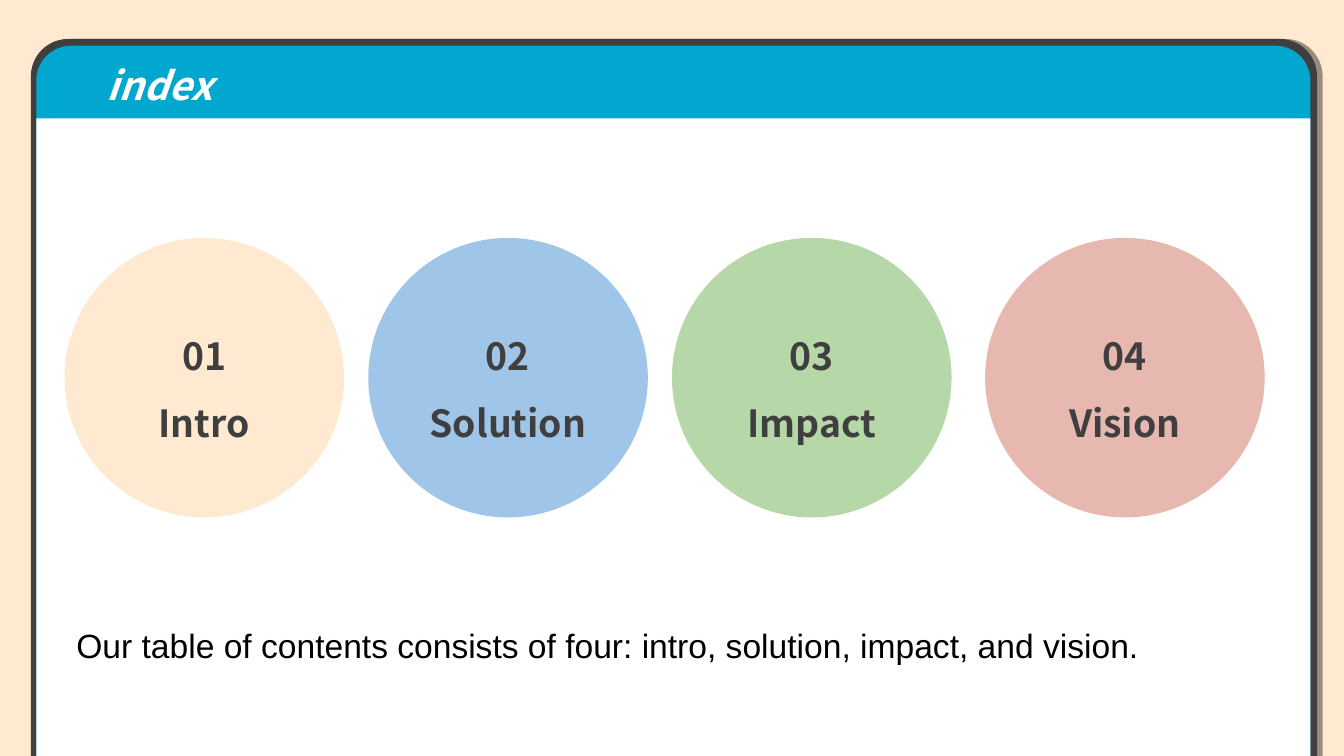
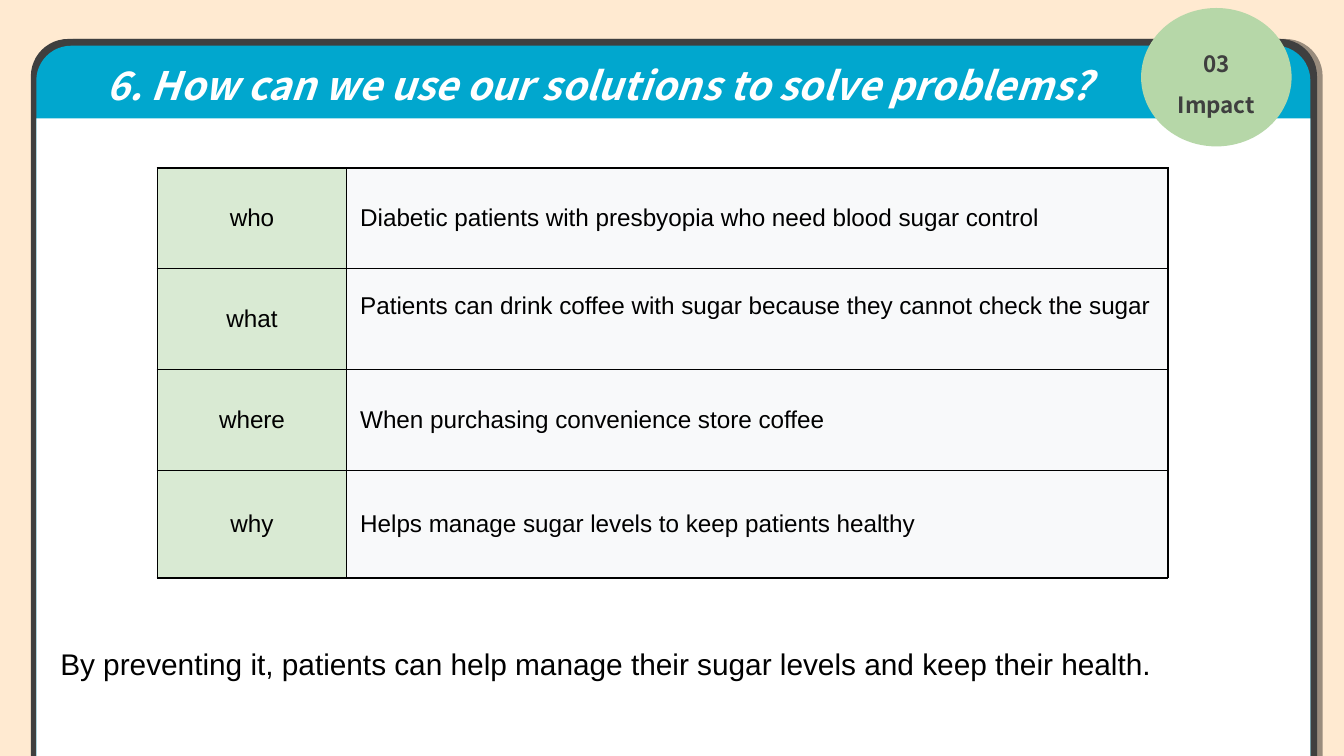
import pptx
import pptx.dml.color
import pptx.enum.shapes
import pptx.enum.text
import pptx.oxml
import pptx.oxml.ns
import pptx.util

RGBColor = pptx.dml.color.RGBColor
Inches = pptx.util.Inches

# Colours and text formats
CREAM = RGBColor(0xFF, 0xEA, 0xD1)
CHARCOAL = RGBColor(0x3F, 0x3F, 0x3F)
CYAN = RGBColor(0x01, 0xA7, 0xCE)
WHITE = RGBColor(0xFF, 0xFF, 0xFF)
BLACK = RGBColor(0, 0, 0)
BLUE = RGBColor(0x9F, 0xC5, 0xE8)
GREEN = RGBColor(0xB6, 0xD7, 0xA8)
PINK = RGBColor(0xE6, 0xB8, 0xAF)
PALE_GREEN = RGBColor(0xD9, 0xEA, 0xD3)
PALE_GREY = RGBColor(0xF8, 0xF9, 0xFA)

DISPLAY = "Noto Sans CJK KR"
TITLE = {"name": DISPLAY, "size": pptx.util.Pt(21), "bold": True, "italic": True}
SECTION = {"name": DISPLAY, "size": pptx.util.Pt(20), "bold": True}
BADGE = {**SECTION, "size": pptx.util.Pt(12)}
INTRO = {"name": "Arial", "size": pptx.util.Pt(18)}
CONCLUSION = {"name": "Arial", "size": pptx.util.Pt(16)}
CELL = {"name": "Arial", "size": pptx.util.Pt(13)}

LEFT = {"alignment": pptx.enum.text.PP_ALIGN.LEFT}
CENTRED = {"alignment": pptx.enum.text.PP_ALIGN.CENTER}
STACKED = {**CENTRED, "line_spacing": 1.5}
SPACED = {**LEFT, "line_spacing": 1.15, "space_after": pptx.util.Pt(12)}

NO_INSETS = (0, 0, 0, 0)
TIGHT = (0.07, 0.04, 0.07, 0.04)
ROOMY = (0.1, 0.1, 0.1, 0.1)

OVAL = pptx.enum.shapes.MSO_SHAPE.OVAL
RECTANGLE = pptx.enum.shapes.MSO_SHAPE.RECTANGLE
ROUND_TOP = pptx.enum.shapes.MSO_SHAPE.ROUND_2_SAME_RECTANGLE
NAMESPACE = pptx.oxml.ns.nsdecls("a")


def add_part(slide, preset, box, colour):
    part = slide.shapes.add_shape(preset, *map(Inches, box))
    part.shadow.inherit = False
    part.fill.solid()
    part.fill.fore_color.rgb = colour
    part.line.fill.background()
    return part


def write(holder, lines, font, colour, insets, layout):
    """Fill a text frame or table cell; layout holds paragraph settings."""
    for side, inset in zip(("left", "top", "right", "bottom"), insets):
        setattr(holder, f"margin_{side}", Inches(inset))
    holder.vertical_anchor = pptx.enum.text.MSO_ANCHOR.MIDDLE
    frame = getattr(holder, "text_frame", holder)
    frame.word_wrap = True
    frame.text = "\n".join(lines)
    for paragraph in frame.paragraphs:
        for key, value in layout.items():
            setattr(paragraph, key, value)
        for run in paragraph.runs:
            for key, value in font.items():
                setattr(run.font, key, value)
            run.font.color.rgb = colour


# Widescreen deck, 16:9
deck = pptx.Presentation()
deck.slide_width = Inches(10)
deck.slide_height = deck.slide_width * 9 // 16

# Shared window frame and title band
slides = []
for heading in ("index", "6. How can we use our solutions to solve problems?"):
    slide = deck.slides.add_slide(deck.slide_layouts[5])
    slide.background.fill.solid()
    slide.background.fill.fore_color.rgb = CREAM

    border = add_part(slide, ROUND_TOP, (0.23, 0.29, 9.57, 5.34), CHARCOAL)
    border.adjustments[0] = 0.052
    effects = border.element.spPr.find(pptx.oxml.ns.qn("a:effectLst"))
    effects.append(pptx.oxml.parse_xml(
        f'<a:outerShdw {NAMESPACE} dist="{pptx.util.Pt(3)}" dir="0" algn="l" rotWithShape="0">'
        '<a:srgbClr val="000000"><a:alpha val="40000"/></a:srgbClr></a:outerShdw>'))
    band = add_part(slide, ROUND_TOP, (0.27, 0.34, 9.48, 5.29), CYAN)
    band.adjustments[0] = 0.049
    add_part(slide, RECTANGLE, (0.27, 0.88, 9.48, 4.75), WHITE)

    title = slide.shapes.title
    title.left, title.top, title.width, title.height = map(Inches, (0.79, 0.36, 7.7, 0.54))
    write(title.text_frame, [heading], TITLE, WHITE, NO_INSETS, LEFT)
    title.text_frame.auto_size = pptx.enum.text.MSO_AUTO_SIZE.NONE
    slide.shapes.element.append(title.element)  # bring in front of the band
    slides.append(slide)

index, impact = slides

# Index: four sections
sections = [
    (0.48, "Intro", CREAM),
    (2.74, "Solution", BLUE),
    (5, "Impact", GREEN),
    (7.33, "Vision", PINK),
]
for number, (left, name, colour) in enumerate(sections, 1):
    circle = add_part(index, OVAL, (left, 1.77, 2.08, 2.08), colour)
    write(circle.text_frame, [f"{number:02}", name], SECTION, CHARCOAL, TIGHT, STACKED)

summary = index.shapes.add_textbox(*map(Inches, (0.47, 4.55, 9.09, 0.5)))
write(summary.text_frame,
      ["Our table of contents consists of four: intro, solution, impact, and vision."],
      INTRO, BLACK, ROOMY, LEFT)

# Impact: conclusion
conclusion = add_part(impact, RECTANGLE, (0.35, 4.33, 9.32, 1.17), WHITE)
conclusion.line.color.rgb = WHITE
conclusion.line.width = pptx.util.Pt(1.5)
write(conclusion.text_frame,
      ["By preventing it, patients can help manage their sugar levels and keep their health."],
      CONCLUSION, BLACK, ROOMY, SPACED)

# Impact: question table
answers = [
    ("who", "Diabetic patients with presbyopia who need blood sugar control"),
    ("what", "Patients can drink coffee with sugar because they cannot check the sugar"),
    ("where", "When purchasing convenience store coffee"),
    ("why", "Helps manage sugar levels to keep patients healthy"),
]
row_heights = (0.75, 0.75, 0.75, 0.8)
table = impact.shapes.add_table(
    len(answers), 2, *map(Inches, (1.17, 1.25, 7.52, sum(row_heights)))).table
table.first_row = table.horz_banding = False
for column, width in zip(table.columns, (1.41, 6.11)):
    column.width = Inches(width)
for row, height, texts in zip(table.rows, row_heights, answers):
    row.height = Inches(height)
    for cell, text, fill, layout in zip(row.cells, texts, (PALE_GREEN, PALE_GREY), (CENTRED, LEFT)):
        write(cell, [text], CELL, BLACK, ROOMY, layout)
        properties = cell._tc.get_or_add_tcPr()
        for edge in ("lnL", "lnR", "lnT", "lnB"):
            properties.append(pptx.oxml.parse_xml(
                f'<a:{edge} {NAMESPACE} w="{pptx.util.Pt(0.75)}"><a:solidFill>'
                f'<a:srgbClr val="{BLACK}"/></a:solidFill></a:{edge}>'))
        cell.fill.solid()
        cell.fill.fore_color.rgb = fill
table.cell(1, 1).margin_bottom = Inches(0.3)  # this answer sits higher in its row

# Impact: section badge
badge = add_part(impact, OVAL, (8.49, 0.06, 1.12, 1.03), GREEN)
write(badge.text_frame, ["03", "Impact"], BADGE, CHARCOAL, TIGHT, STACKED)

deck.save("out.pptx")
